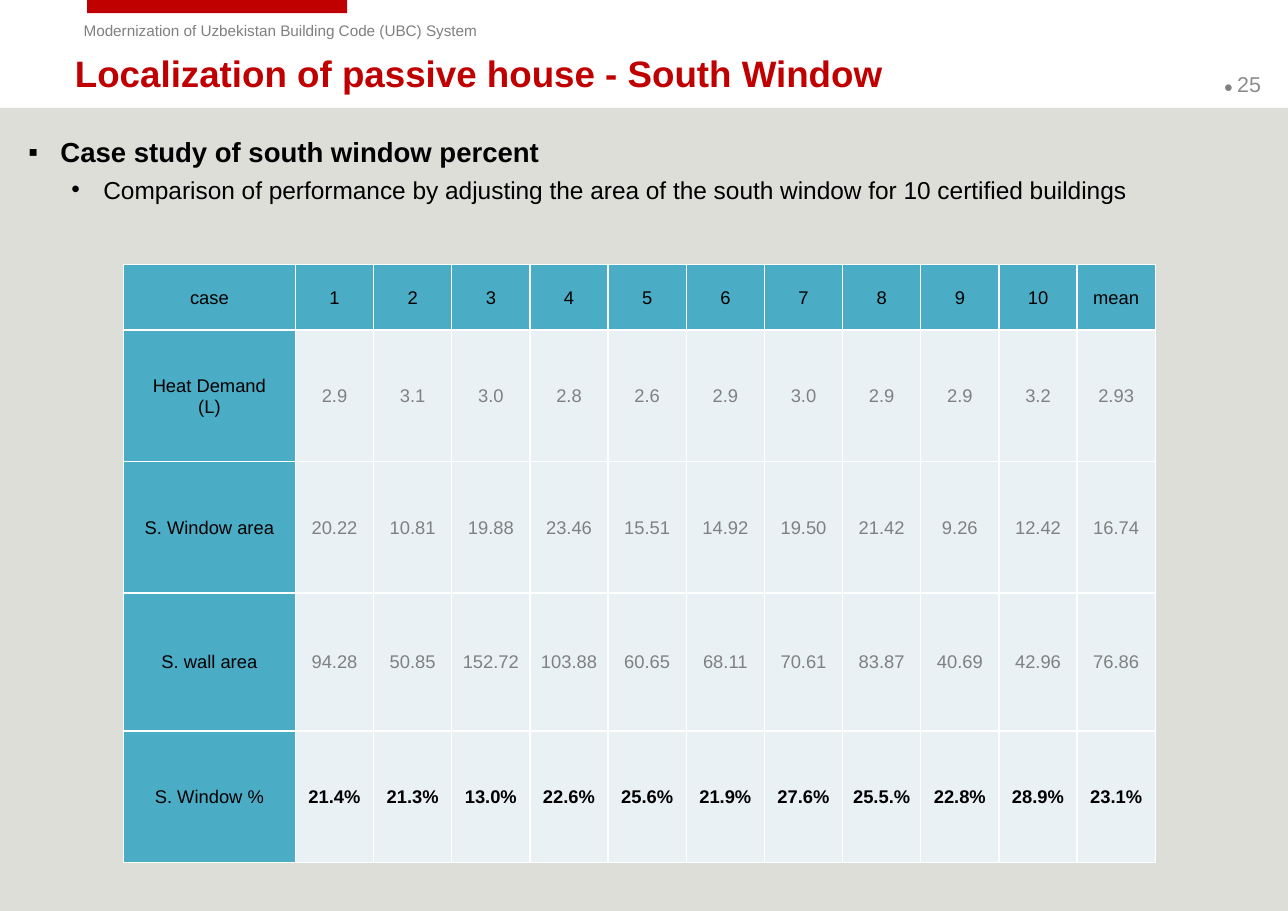
from lxml.etree import SubElement
from pptx import Presentation
from pptx.dml.color import RGBColor
from pptx.enum.shapes import MSO_SHAPE
from pptx.enum.text import MSO_ANCHOR as Anchor, MSO_AUTO_SIZE as AutoSize, PP_ALIGN as Align
from pptx.oxml.ns import qn
from pptx.util import Inches, Pt

COLORS = {
    "red": "C00000", "band": "DEDED8", "grey": "808080", "number": "8C8C8C",
    "black": "000000", "white": "FFFFFF", "teal": "4BACC6", "pale": "E9F1F5",
}
WIDTH, HEIGHT = Inches(11.69), Inches(8.27)
COLUMN_SHARES = [2.2] + [1] * 11
ROW_SHARES = [1, 2, 2, 2.1, 2]
CASES = [
    ["case", *map(str, range(1, 11)), "mean"],
    ["Heat Demand\v(L)", "2.9", "3.1", "3.0", "2.8", "2.6", "2.9", "3.0", "2.9", "2.9", "3.2", "2.93"],
    ["S. Window area", "20.22", "10.81", "19.88", "23.46", "15.51", "14.92", "19.50", "21.42",
     "9.26", "12.42", "16.74"],
    ["S. wall area", "94.28", "50.85", "152.72", "103.88", "60.65", "68.11", "70.61", "83.87",
     "40.69", "42.96", "76.86"],
    ["S. Window %", "21.4%", "21.3%", "13.0%", "22.6%", "25.6%", "21.9%", "27.6%", "25.5.%",
     "22.8%", "28.9%", "23.1%"],
]


def color(name):
    return RGBColor.from_string(COLORS[name])


def area(left, top, width, height):
    """Turn percentages of the slide into left, top, width and height."""
    return [round(share * side / 100)
            for share, side in zip((left, top, width, height), (WIDTH, HEIGHT) * 2)]


def style(span, size, color_name, bold=False):
    font = span.font
    font.name, font.size, font.bold = "Arial", Pt(size), bold
    font.color.rgb = color(color_name)


def add_block(slide, color_name, place):
    block = slide.shapes.add_shape(MSO_SHAPE.RECTANGLE, *place)
    block.shadow.inherit = False
    block.fill.solid()
    block.fill.fore_color.rgb = color(color_name)
    block.line.fill.background()


def add_frame(slide, place, anchor=Anchor.TOP):
    frame = slide.shapes.add_textbox(*place).text_frame
    frame.word_wrap = True
    frame.vertical_anchor = anchor
    return frame


def add_span(para, text, size, color_name, bold=False):
    span = para.add_run()
    span.text = text
    style(span, size, color_name, bold)


def add_bullet(para, symbol, indent):
    properties = para._p.get_or_add_pPr()
    properties.set("marL", str(Inches(indent)))
    properties.set("indent", str(Inches(-0.29)))
    SubElement(properties, qn("a:buFont"), typeface="Arial")
    SubElement(properties, qn("a:buChar"), char=symbol)


def set_title(slide, text, place):
    title = slide.shapes.title
    title.left, title.top, title.width, title.height = place
    frame = title.text_frame
    frame.text = text
    frame.auto_size = AutoSize.NONE
    frame.vertical_anchor = Anchor.MIDDLE
    para = frame.paragraphs[0]
    para.alignment = Align.LEFT
    style(para.runs[0], 24, "red", True)


def add_borders(cell):
    for side in ("lnL", "lnR", "lnT", "lnB"):
        line = SubElement(cell._tc.get_or_add_tcPr(), qn(f"a:{side}"), w=str(Pt(1)))
        SubElement(SubElement(line, qn("a:solidFill")), qn("a:srgbClr"), val=COLORS["white"])


def fill_cell(cell, text, fill, text_color, bold):
    add_borders(cell)
    cell.fill.solid()
    cell.fill.fore_color.rgb = color(fill)
    cell.margin_left = cell.margin_right = cell.margin_top = Inches(0.01)
    cell.margin_bottom = 0
    cell.vertical_anchor = Anchor.MIDDLE
    cell.text = text
    para = cell.text_frame.paragraphs[0]
    para.alignment = Align.CENTER
    for span in para.runs:
        style(span, 12, text_color, bold)


def add_case_table(slide, rows, place):
    table = slide.shapes.add_table(len(rows), len(rows[0]), *place).table
    table.first_row = table.horz_banding = False
    for column, share in zip(table.columns, COLUMN_SHARES):
        column.width = round(place[2] * share / sum(COLUMN_SHARES))
    for row, share in zip(table.rows, ROW_SHARES):
        row.height = round(place[3] * share / sum(ROW_SHARES))
    for r, values in enumerate(rows):
        for c, text in enumerate(values):
            heading, result = r == 0 or c == 0, r == len(rows) - 1
            fill_cell(table.cell(r, c), text, "teal" if heading else "pale",
                      "black" if heading or result else "grey", result and not heading)


def main():
    deck = Presentation()
    deck.slide_width, deck.slide_height = WIDTH, HEIGHT
    slide = deck.slides.add_slide(deck.slide_layouts[5])

    add_block(slide, "band", area(0, 11.85, 100, 88.15))
    add_block(slide, "red", area(6.76, 0, 20.19, 1.45))
    set_title(slide, "Localization of passive house - South Window", area(4.96, 5.56, 89.14, 4.84))

    project = add_frame(slide, area(5.65, 1.69, 40.03, 3.26)).paragraphs[0]
    add_span(project, "Modernization of Uzbekistan Building Code (UBC) System", 10, "grey")
    number = add_frame(slide, area(94.18, 6.53, 5.9, 5.32), Anchor.MIDDLE).paragraphs[0]
    add_span(number, "● ", 10, "grey")
    add_span(number, "25", 14, "number")

    study = add_frame(slide, area(1.37, 14.27, 97.35, 17.17))
    heading, detail = study.paragraphs[0], study.add_paragraph()
    add_bullet(heading, "▪", 0.29)
    add_span(heading, "Case study of south window percent", 18, "black", True)
    add_bullet(detail, "•", 0.68)
    detail.space_before = Pt(4)
    add_span(detail, "Comparison of performance by adjusting the area of the south window "
                     "for 10 certified buildings", 16, "black")

    add_case_table(slide, CASES, area(9.58, 29.02, 80.15, 65.66))
    deck.save("out.pptx")


if __name__ == "__main__":
    main()
